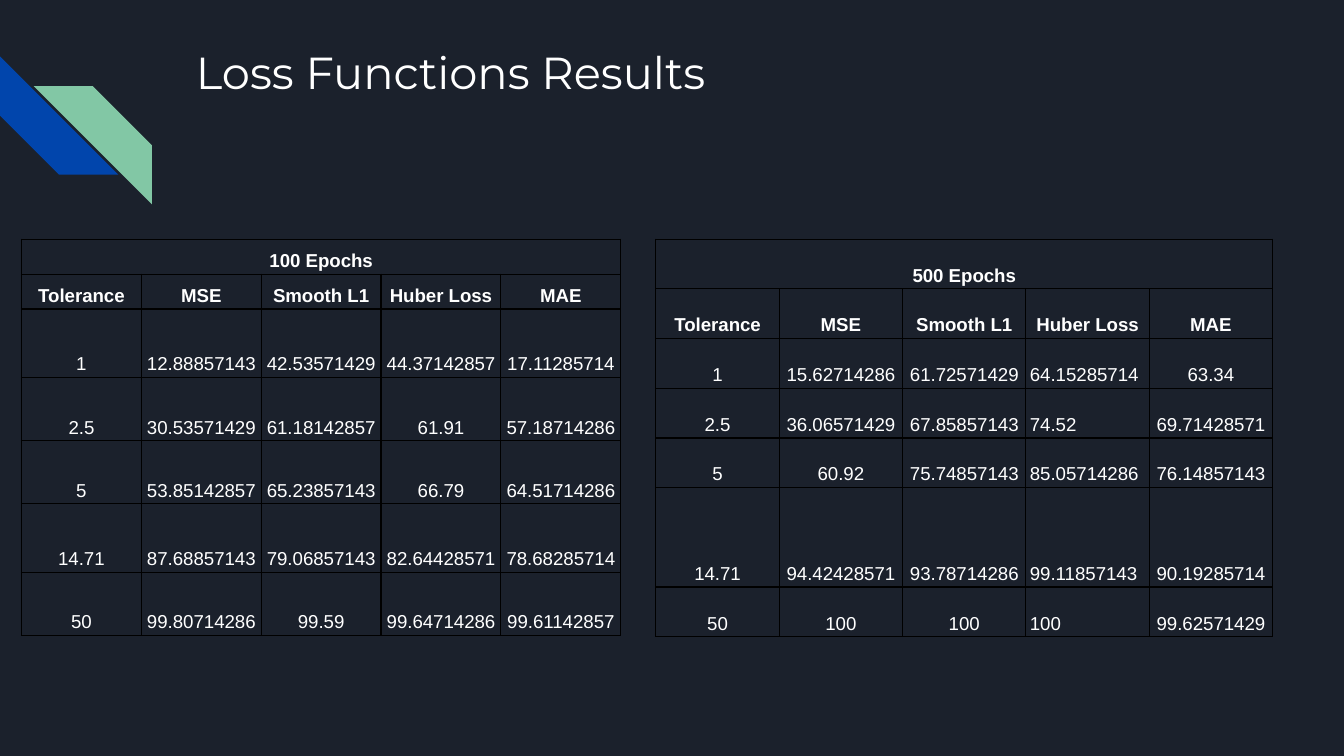
from lxml import etree
from pptx import Presentation
from pptx.dml.color import RGBColor
from pptx.enum.shapes import MSO_SHAPE as SHAPE
from pptx.enum.text import MSO_ANCHOR as ANCHOR, PP_ALIGN as ALIGN
from pptx.oxml.ns import qn
from pptx.util import Inches, Pt

BG, WHITE, BLACK = "1B212C", "FFFFFF", "000000"
BLUE, GREEN = "0145AC", "82C7A5"
HEADER = ["Tolerance", "MSE", "Smooth L1", "Huber Loss", "MAE"]


def rgb(value):
    return RGBColor.from_string(value)


def write(tf, text, font="Arial", size=10, color=WHITE, bold=False,
          align=ALIGN.LEFT, spacing=None):
    p = tf.paragraphs[0]
    p.alignment = align
    p.line_spacing = spacing
    r = p.add_run()
    r.text = text
    r.font.name, r.font.size, r.font.bold = font, Pt(size), bold
    r.font.color.rgb = rgb(color)


class Deck:
    """Holds the slide style and the current slide."""

    def __init__(self, prs):
        self.s = prs.slides.add_slide(prs.slide_layouts[6])
        self.s.background.fill.solid()
        self.s.background.fill.fore_color.rgb = rgb(BG)

    def stripe(self, left, top, side, color, rotation):
        sp = self.s.shapes.add_shape(SHAPE.DIAGONAL_STRIPE, Inches(left), Inches(top),
                                     Inches(side), Inches(side))
        sp.adjustments[0] = 0.5
        sp.rotation = rotation
        sp.shadow.inherit = False
        sp.fill.solid()
        sp.fill.fore_color.rgb = rgb(color)
        sp.line.fill.background()

    def title(self, left, top, width, height, text):
        sp = self.s.shapes.add_textbox(Inches(left), Inches(top), Inches(width), Inches(height))
        tf = sp.text_frame
        tf.word_wrap = True
        tf.margin_left = tf.margin_right = tf.margin_top = tf.margin_bottom = Inches(0.1)
        write(tf, text, font="Montserrat", size=24)

    def border(self, cell, color=BLACK, width=0.68):
        tcPr = cell._tc.get_or_add_tcPr()
        for i, side in enumerate(("lnL", "lnR", "lnT", "lnB")):
            ln = etree.Element(qn(f"a:{side}"), w=str(int(Pt(width))))
            fill = etree.SubElement(ln, qn("a:solidFill"))
            etree.SubElement(fill, qn("a:srgbClr"), val=color)
            tcPr.insert(i, ln)

    def table(self, left, top, width, heights, caption, rows, left_cols=()):
        grid = [[caption] + [""] * (len(HEADER) - 1), HEADER] + rows
        frame = self.s.shapes.add_table(len(grid), len(HEADER), Inches(left), Inches(top),
                                        Inches(width), Inches(sum(heights)))
        table = frame.table
        for col in table.columns:
            col.width = Inches(width / len(HEADER))
        for row, height in zip(table.rows, heights):
            row.height = Inches(height)
        for i, values in enumerate(grid):
            for j, text in enumerate(values):
                cell = table.cell(i, j)
                cell.fill.background()
                self.border(cell)
                cell.vertical_anchor = ANCHOR.BOTTOM
                cell.margin_left = cell.margin_right = Inches(0.03)
                cell.margin_top = cell.margin_bottom = Inches(0.02)
                if text:
                    align = ALIGN.LEFT if i > 1 and j in left_cols else ALIGN.CENTER
                    write(cell.text_frame, text, bold=i < 2, align=align, spacing=1.15)
        table.cell(0, 0).merge(table.cell(0, len(HEADER) - 1))


def main():
    prs = Presentation()
    prs.slide_width, prs.slide_height = Inches(10), Inches(10 * 9 / 16)
    deck = Deck(prs)

    # Corner decoration
    deck.stripe(0, 0.42, 0.88, BLUE, 270)
    deck.stripe(0.25, 0.64, 0.88, GREEN, 90)

    # Title
    deck.title(1.36, 0.23, 7.7, 1, "Loss Functions Results")

    # Results after 100 epochs
    deck.table(0.16, 1.78, 4.46, [0.26, 0.26, 0.51, 0.47, 0.47, 0.51, 0.47], "100 Epochs", [
        ["1", "12.88857143", "42.53571429", "44.37142857", "17.11285714"],
        ["2.5", "30.53571429", "61.18142857", "61.91", "57.18714286"],
        ["5", "53.85142857", "65.23857143", "66.79", "64.51714286"],
        ["14.71", "87.68857143", "79.06857143", "82.64428571", "78.68285714"],
        ["50", "99.80714286", "99.59", "99.64714286", "99.61142857"],
    ])

    # Results after 500 epochs, Huber values left-aligned
    deck.table(4.88, 1.78, 4.59, [0.37] * 5 + [0.74, 0.37], "500 Epochs", [
        ["1", "15.62714286", "61.72571429", "64.15285714", "63.34"],
        ["2.5", "36.06571429", "67.85857143", "74.52", "69.71428571"],
        ["5", "60.92", "75.74857143", "85.05714286", "76.14857143"],
        ["14.71", "94.42428571", "93.78714286", "99.11857143", "90.19285714"],
        ["50", "100", "100", "100", "99.62571429"],
    ], left_cols=(HEADER.index("Huber Loss"),))

    prs.save("out.pptx")


if __name__ == "__main__":
    main()
